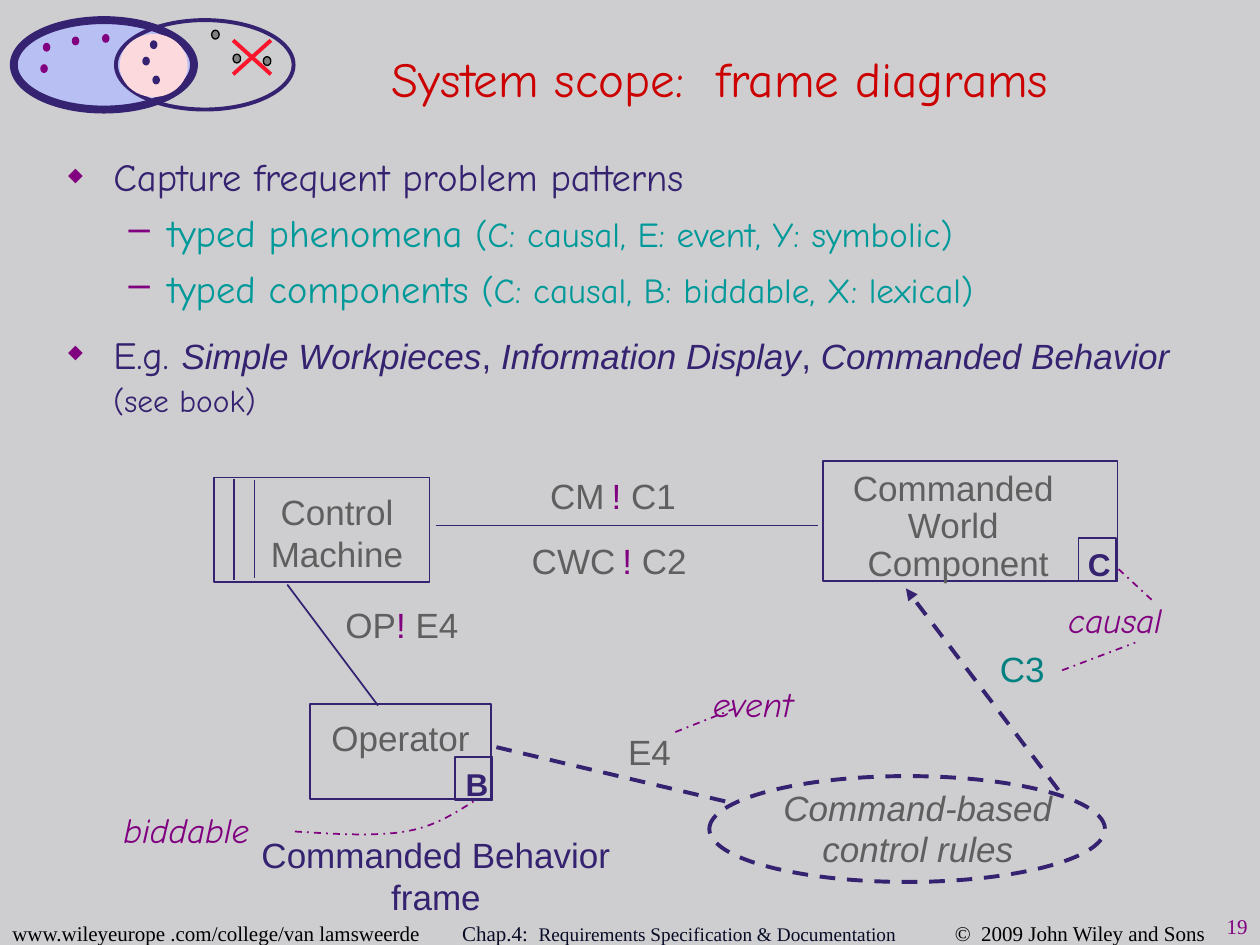
from dataclasses import dataclass

from lxml.etree import SubElement
from pptx import Presentation
from pptx.dml.color import RGBColor
from pptx.enum.dml import MSO_LINE
from pptx.enum.shapes import MSO_CONNECTOR, MSO_SHAPE
from pptx.enum.text import MSO_ANCHOR, PP_ALIGN
from pptx.oxml.ns import qn
from pptx.util import Inches, Pt


@dataclass(frozen=True)
class Theme:
    background: str = "CECED0"
    navy: str = "352270"
    purple: str = "800080"
    teal: str = "009999"
    sea: str = "008080"
    red: str = "CC0000"
    cross: str = "F9152B"
    grey: str = "5F5F5F"
    dot: str = "808080"
    black: str = "000000"
    ink: str = "070B26"
    lilac: str = "B8BFF2"
    pink: str = "FBD9DC"
    title: int = 28
    bullet: int = 22
    label: int = 20
    tag: int = 18
    gap: int = 14
    footer: int = 12
    chapter: int = 11
    sans: str = "Arial"
    hand: str = "Comic Neue"
    serif: str = "Times New Roman"


THEME = Theme()


@dataclass(frozen=True)
class Box:
    left: float
    top: float
    width: float
    height: float

    def inner(self, left, top, width, height):
        return Box(self.left + left, self.top + top, width, height)

    def point(self, x, y):
        return Inches(self.left + x), Inches(self.top + y)

    def lengths(self):
        return [Inches(value) for value in (self.left, self.top, self.width, self.height)]


def style(size, name, color, **extra):
    return {"size": Pt(size), "name": name, "color": color, **extra}


LABEL = style(THEME.label, THEME.sans, THEME.grey)
MARK = {**LABEL, "color": THEME.purple}
NOTE = style(THEME.label, THEME.hand, THEME.purple, italic=True)


def apply(target, values):
    for name, value in values.items():
        setattr(target, name, value)


def fill_paragraph(paragraph, runs, **values):
    apply(paragraph, values)
    for text, look in runs:
        run = paragraph.add_run()
        run.text = text
        apply(run.font, {key: value for key, value in look.items() if key != "color"})
        run.font.color.rgb = RGBColor.from_string(look["color"])


def add_frame(slide, box, **values):
    frame = slide.shapes.add_textbox(*box.lengths()).text_frame
    apply(frame, {"word_wrap": True, **values})
    return frame


def add_text(slide, box, runs, alignment=PP_ALIGN.CENTER, **values):
    frame = add_frame(slide, box, **values)
    fill_paragraph(frame.paragraphs[0], runs, alignment=alignment)
    return frame


def set_line(shape, color, width, dash=None):
    shape.line.color.rgb = RGBColor.from_string(color)
    shape.line.width = Pt(width)
    if dash:
        shape.line.dash_style = dash


def add_outline(slide, box, kind, fill=None, line=None):
    shape = slide.shapes.add_shape(kind, *box.lengths())
    shape.shadow.inherit = False
    if fill:
        shape.fill.solid()
        shape.fill.fore_color.rgb = RGBColor.from_string(fill)
    else:
        shape.fill.background()
    if line:
        set_line(shape, *line)
    else:
        shape.line.fill.background()


def add_line(slide, box, start, end, line, arrow=False):
    connector = slide.shapes.add_connector(
        MSO_CONNECTOR.STRAIGHT, *box.point(*start), *box.point(*end))
    set_line(connector, *line)
    if arrow:
        SubElement(connector.line._get_or_add_ln(), qn("a:tailEnd"), type="triangle")
    SubElement(connector._element.spPr, qn("a:effectLst"))


def add_bullet(paragraph, character, size, margin, indent):
    properties = paragraph._p.get_or_add_pPr()
    properties.set("marL", str(Inches(margin)))
    properties.set("indent", str(Inches(indent)))
    SubElement(SubElement(properties, qn("a:buClr")), qn("a:srgbClr"), val=THEME.purple)
    SubElement(properties, qn("a:buSzPct"), val=str(size * 1000))
    SubElement(properties, qn("a:buChar"), char=character)


def add_title(slide, box):
    title = slide.shapes.title
    apply(title, dict(zip(("left", "top", "width", "height"), box.lengths())))
    title.text_frame.vertical_anchor = MSO_ANCHOR.MIDDLE
    fill_paragraph(title.text_frame.paragraphs[0],
                   [("System scope:  frame diagrams", style(THEME.title, THEME.hand, THEME.red))],
                   alignment=PP_ALIGN.CENTER)


def add_scope_icon(slide, box):
    oval = MSO_SHAPE.OVAL
    add_outline(slide, box.inner(0, 0, 1.43, 0.71), oval, THEME.lilac, (THEME.navy, 4.5))
    add_outline(slide, box.inner(0.81, 0, 1.41, 0.71), oval, None, (THEME.navy, 2.25))
    add_outline(slide, box.inner(0.84, 0.11, 0.54, 0.5), oval, THEME.pink)
    dots = [
        (THEME.purple, None, [(0.23, 0.18), (0.46, 0.13), (0.21, 0.35), (0.7, 0.11)]),
        (THEME.dot, (THEME.black, 0.75), [(1.57, 0.08), (1.74, 0.27), (1.98, 0.29)]),
        (THEME.navy, None, [(1.08, 0.16), (1.1, 0.44), (1.02, 0.29)]),
    ]
    for fill, line, places in dots:
        for x, y in places:
            add_outline(slide, box.inner(x, y, 0.06, 0.07), oval, fill, line)
    for start, end in ((0.43, 0.16), (0.16, 0.43)):
        add_line(slide, box, (1.74, start), (2.04, end), (THEME.cross, 2.25))


def add_bullets(slide, box):
    main = style(THEME.bullet, THEME.hand, THEME.navy)
    sub = {**main, "color": THEME.teal}
    detail = {**sub, "size": Pt(THEME.label)}
    plain = style(THEME.label, THEME.sans, THEME.navy)
    name = {**plain, "italic": True}
    diamond, dash = ("◆", 50, 0.38, -0.36), ("–", 100, 0.81, -0.31)
    items = [
        (diamond, {}, [("Capture frequent problem patterns", main)]),
        (dash, {"level": 1, "space_before": Pt(5.5)},
         [("typed phenomena ", sub), ("(C: causal, E: event, Y: symbolic)", detail)]),
        (dash, {"level": 1, "space_before": Pt(5.5)},
         [("typed components ", sub), ("(C: causal, B: biddable, X: lexical)", detail)]),
        (diamond, {"line_spacing": 1.1, "space_before": Pt(8.5)},
         [("E.g. ", main), ("Simple Workpieces", name), (", ", plain),
          ("Information Display", name), (", ", plain), ("Commanded Behavior", name),
          (" ", main), ("(see book)", {**main, "size": Pt(THEME.tag)})]),
    ]
    frame = add_frame(slide, box, vertical_anchor=MSO_ANCHOR.MIDDLE, margin_left=Inches(0.35))
    for index, (bullet, values, runs) in enumerate(items):
        paragraph = frame.add_paragraph() if index else frame.paragraphs[0]
        add_bullet(paragraph, *bullet)
        fill_paragraph(paragraph, runs, **values)


def add_node(slide, box, kind, line, text_box, lines, look, first, rest):
    add_outline(slide, box, kind, None, line)
    frame = add_text(slide, text_box, [(lines[0], look)])
    apply(frame.paragraphs[0], first)
    for text in lines[1:]:
        fill_paragraph(frame.add_paragraph(), [(text, look)], alignment=PP_ALIGN.CENTER, **rest)


def add_tag(slide, box, line, letter, shift):
    add_outline(slide, box, MSO_SHAPE.RECTANGLE, None, line)
    add_text(slide, box.inner(shift, 0.01, 0.53, 0.4),
             [(letter, style(THEME.tag, THEME.sans, THEME.navy, bold=True))])


def add_curve(slide, box, segments, line, steps=8):
    points = [segments[0][0]]
    for a, b, c, d in segments:
        for t in (step / steps for step in range(1, steps + 1)):
            points.append(tuple(
                (1 - t) ** 3 * p + 3 * t * (1 - t) ** 2 * q + 3 * t * t * (1 - t) * r + t ** 3 * s
                for p, q, r, s in zip(a, b, c, d)))
    places = [box.point(*point) for point in points]
    builder = slide.shapes.build_freeform(*places[0])
    builder.add_line_segments(places[1:], close=False)
    shape = builder.convert_to_shape()
    shape.shadow.inherit = False
    shape.fill.background()
    set_line(shape, *line)


def add_frame_diagram(slide, box):
    solid = (THEME.navy, 1)
    dashed = (THEME.navy, 2.25, MSO_LINE.DASH)
    pointer = (THEME.purple, 1, MSO_LINE.DASH_DOT)
    rectangle, tight = MSO_SHAPE.RECTANGLE, {"line_spacing": 0.9}
    for place, kind, line, text_place, *content in [
        ((0.9, 0.19, 1.71, 0.83), rectangle, solid, (1.04, 0.24, 1.67, 0.77),
         ["Control Machine"], LABEL, {}, {}),
        ((1.66, 1.99, 1.44, 0.75), rectangle, solid, (1.71, 2.04, 1.34, 0.43),
         ["Operator"], LABEL, {}, {}),
        ((5.73, 0.06, 2.34, 0.95), rectangle, solid, (5.82, 0.05, 1.97, 1.03),
         ["Commanded ", "World ", "Component"], LABEL, {}, tight),
        ((4.83, 2.56, 3.14, 0.84), MSO_SHAPE.OVAL, dashed, (5.26, 2.63, 2.45, 0.73),
         ["Command-based", "control rules"], {**LABEL, "italic": True},
         tight, {**tight, "space_before": Pt(2)}),
    ]:
        add_node(slide, box.inner(*place), kind, line, box.inner(*text_place), *content)
    add_tag(slide, box.inner(2.81, 2.41, 0.3, 0.34), solid, "B", -0.09)
    add_tag(slide, box.inner(7.76, 0.67, 0.3, 0.34), solid, "C", -0.1)
    for start, end, line, arrow in [
        ((1.06, 0.2), (1.06, 1), solid, False),
        ((1.22, 0.21), (1.22, 0.99), solid, False),
        ((2.66, 0.57), (5.69, 0.57), solid, False),
        ((1.48, 1.04), (2.2, 2), solid, False),
        ((3.14, 2.33), (5.04, 2.78), dashed, False),
        ((7.6, 2.67), (6.39, 1.07), dashed, True),
        ((8.34, 1.16), (8.07, 0.91), pointer, False),
        ((7.63, 1.72), (8.21, 1.5), pointer, False),
        ((4.56, 2.21), (5.04, 2.02), pointer, False),
    ]:
        add_line(slide, box, start, end, line, arrow)
    add_curve(slide, box, [((1.54, 3), (1.86, 3.02), (2.18, 3.04), (2.42, 3)),
                           ((2.42, 3), (2.65, 2.96), (2.8, 2.86), (2.96, 2.76))], pointer)
    gap = (" ", {**LABEL, "size": Pt(THEME.gap)})
    mark = ("! ", MARK)
    for place, runs in [
        ((2.69, 0.12, 2.75, 0.43), [("CM", LABEL), gap, mark, ("C1", LABEL)]),
        ((2.66, 0.63, 2.75, 0.43), [("CWC", LABEL), gap, mark, ("C2", LABEL)]),
        ((1.78, 1.14, 1.22, 0.43), [("OP", LABEL), mark, ("E4", LABEL)]),
        ((4.01, 2.15, 0.69, 0.43), [("E4", LABEL)]),
        ((6.91, 1.49, 0.73, 0.43), [(" C3", {**LABEL, "color": THEME.sea})]),
    ]:
        add_text(slide, box.inner(*place), runs)
    for place, text in [((0.08, 2.77, 1.69, 0.42), "biddable"),
                        ((7.58, 1.11, 1.34, 0.42), "causal"),
                        ((4.76, 1.83, 1.34, 0.31), "event")]:
        add_text(slide, box.inner(*place), [(text, NOTE)], PP_ALIGN.LEFT,
                 vertical_anchor=MSO_ANCHOR.MIDDLE)
    add_text(slide, box.inner(1.18, 3.13, 3.75, 0.43),
             [("Commanded Behavior frame", {**LABEL, "color": THEME.navy})],
             vertical_anchor=MSO_ANCHOR.MIDDLE, margin_left=0, margin_right=Inches(0.79))


def add_footer(slide, box):
    look = style(THEME.footer, THEME.serif, THEME.black)
    chapter = {**look, "color": THEME.ink}
    number = add_text(slide, box.inner(8.97, -0.1, 1.03, 0.34),
                      [("19", {**look, "color": THEME.purple})], PP_ALIGN.RIGHT)
    number.paragraphs[0].line_spacing = 1.2
    paragraph = add_frame(slide, box).paragraphs[0]
    tabs = SubElement(paragraph._p.get_or_add_pPr(), qn("a:tabLst"))
    for position in (3.57, 7.48):
        SubElement(tabs, qn("a:tab"), pos=str(Inches(position)), algn="l")
    fill_paragraph(paragraph, [
        ("www.wileyeurope .com/college/van lamsweerde\t", look),
        ("Chap.4:  ", chapter),
        ("Requirements Specification & Documentation\t", {**chapter, "size": Pt(THEME.chapter)}),
        ("©  2009 John Wiley and Sons", look)])


def main():
    presentation = Presentation()
    presentation.slide_width, presentation.slide_height = Inches(10), Inches(7.5)
    slide = presentation.slides.add_slide(presentation.slide_layouts[5])
    slide.background.fill.solid()
    slide.background.fill.fore_color.rgb = RGBColor.from_string(THEME.background)
    add_title(slide, Box(1.63, 0.2, 8.17, 0.83))
    add_scope_icon(slide, Box(0.11, 0.16, 2.22, 0.71))
    add_bullets(slide, Box(0.17, 1.12, 9.45, 2.3))
    add_frame_diagram(slide, Box(0.8, 3.6, 8.92, 3.56))
    add_footer(slide, Box(0, 7.26, 9.97, 0.3))
    presentation.save("out.pptx")


if __name__ == "__main__":
    main()
